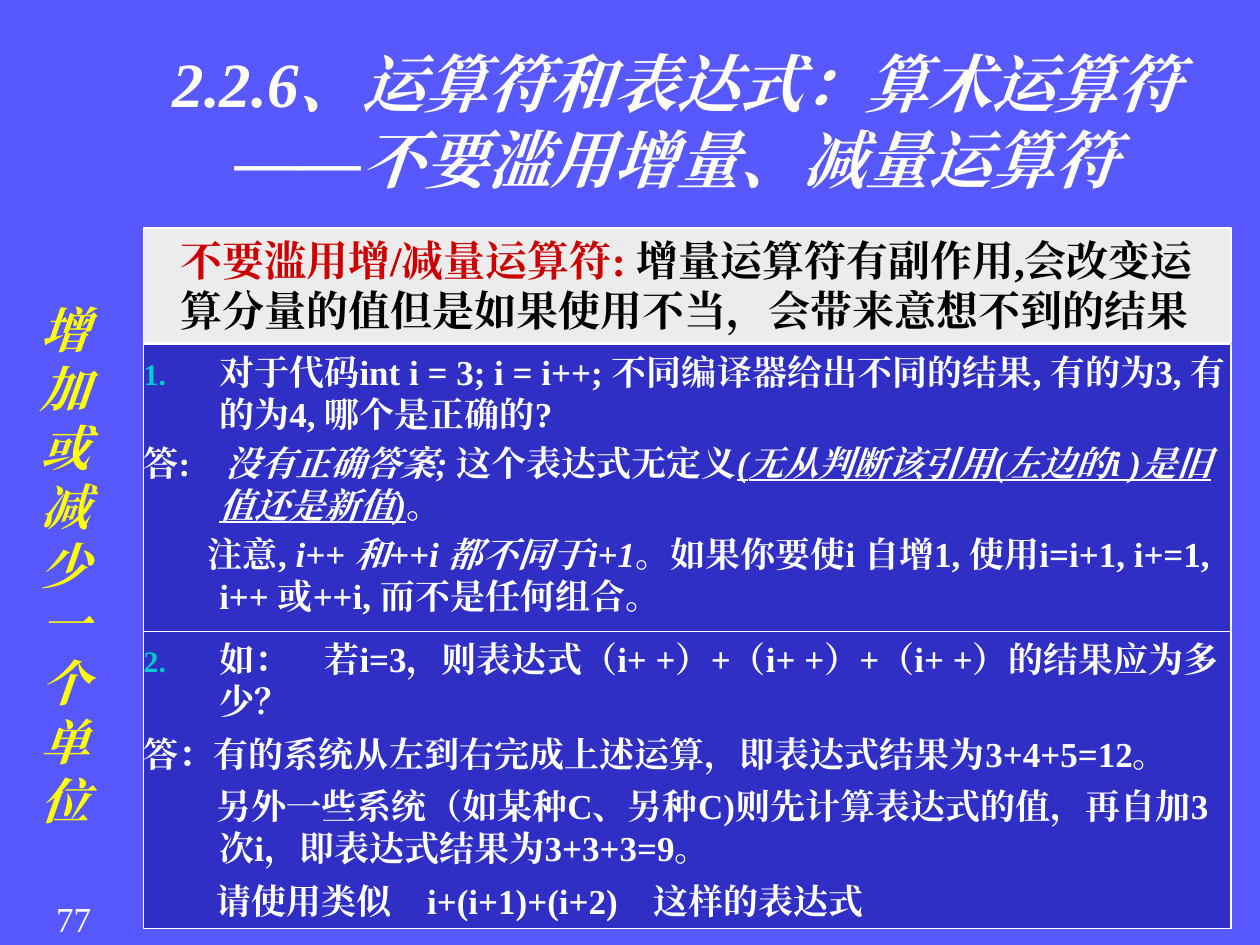
from dataclasses import dataclass, field
from lxml import etree
from pptx import Presentation, util as u
from pptx.dml.color import RGBColor
from pptx.enum import shapes, text
from pptx.oxml.ns import qn


@dataclass(frozen=True)
class Theme:
    face: str = "Times New Roman"
    back: str = "5858FF"
    panel: str = "2F2FC5"
    pale: str = "ECECEC"
    white: str = "FFFFFF"
    black: str = "000000"
    red: str = "CC0000"
    mark: str = "00CCCC"
    gold: str = "FFFF00"
    title: int = 36
    side: int = 28
    head: int = 24
    body: int = 20


@dataclass(frozen=True)
class Run:
    words: str
    color: str = ""
    style: dict = field(default_factory=dict)


@dataclass(frozen=True)
class Para:
    runs: list[Run]
    left: float = 0.6
    first: float = -0.6
    number: int = 0


@dataclass(frozen=True)
class Look:
    size: int
    color: str
    bold: bool = True
    italic: bool = False
    before: float = 0
    align: text.PP_ALIGN = text.PP_ALIGN.LEFT


THEME = Theme()
SLANT = {"italic": True}
LINED = {"italic": True, "underline": True}
LEFT, WIDE = 1.14, 8.63


def rgb(code: str) -> RGBColor:
    return RGBColor.from_string(code)


def place(shape, left: float, top: float, width: float, height: float) -> None:
    box = {"left": left, "top": top, "width": width, "height": height}
    for name, value in box.items():
        setattr(shape, name, u.Inches(value))


def paint(shape, color: str) -> None:
    shape.fill.solid()
    shape.fill.fore_color.rgb = rgb(color)
    shape.line.color.rgb = rgb(THEME.white)
    shape.line.width = u.Pt(0.75)


def bullet(props, number: int) -> None:
    if not number:
        etree.SubElement(props, qn("a:buNone"))
        return
    tint = etree.SubElement(props, qn("a:buClr"))
    etree.SubElement(tint, qn("a:srgbClr"), val=THEME.mark)
    etree.SubElement(props, qn("a:buSzPct"), val="85000")
    etree.SubElement(props, qn("a:buFont"), typeface="Noto Sans CJK SC")
    etree.SubElement(props, qn("a:buAutoNum"), type="arabicPeriod", startAt=str(number))


def write(shape, paras: list[Para], look: Look, anchor=text.MSO_ANCHOR.TOP, side: float = 0) -> None:
    frame = shape.text_frame
    setup = {
        "word_wrap": True,
        "auto_size": text.MSO_AUTO_SIZE.NONE,
        "vertical_anchor": anchor,
        "margin_left": u.Inches(side),
        "margin_right": u.Inches(side),
        "margin_top": u.Inches(0.05),
        "margin_bottom": u.Inches(0.05),
    }
    for name, value in setup.items():
        setattr(frame, name, value)
    for spot, para in enumerate(paras):
        line = frame.add_paragraph() if spot else frame.paragraphs[0]
        line.alignment = look.align
        line.space_before = u.Pt(look.before if spot else 0)
        props = line._p.get_or_add_pPr()
        props.set("marL", str(u.Inches(para.left)))
        props.set("indent", str(u.Inches(para.first)))
        bullet(props, para.number)
        for part in para.runs:
            if part.words == "\n":
                line.add_line_break()
                continue
            run = line.add_run()
            run.text = part.words
            base = {"name": THEME.face, "size": u.Pt(look.size),
                    "bold": look.bold, "italic": look.italic}
            for name, value in (base | part.style).items():
                setattr(run.font, name, value)
            run.font.color.rgb = rgb(part.color or look.color)
            latin = run._r.rPr.find(qn("a:latin"))
            latin.addnext(etree.Element(qn("a:ea"), typeface=THEME.face))


def main() -> None:
    deck = Presentation()
    deck.slide_width, deck.slide_height = u.Inches(10), u.Inches(7.5)
    slide = deck.slides.add_slide(deck.slide_layouts[3])
    slide.background.fill.solid()
    slide.background.fill.fore_color.rgb = rgb(THEME.back)
    title, ask, sample = list(slide.placeholders)[:3]

    place(title, 0.98, 0.33, 8.78, 1.25)
    write(title, [Para([
        Run("2.2.6、运算符和表达式：算术运算符"), Run("\n"),
        Run("——不要滥用增量、减量运算符"),
    ], 0, 0)], Look(THEME.title, THEME.white, italic=True, align=text.PP_ALIGN.CENTER),
        text.MSO_ANCHOR.MIDDLE, 0.1)

    head = slide.shapes.add_shape(shapes.MSO_SHAPE.RECTANGLE, 0, 0, 0, 0)
    head.shadow.inherit = False
    place(head, LEFT, 1.81, WIDE, 0.91)
    paint(head, THEME.pale)
    write(head, [Para([
        Run("不要滥用增/减量运算符: ", THEME.red),
        Run("增量运算符有副作用,会改变运算分量的值但是如果使用不当，会带来意想不到的结果"),
    ], 0.29, 0)], Look(THEME.head, THEME.black))

    place(ask, LEFT, 2.73, WIDE, 2.28)
    paint(ask, THEME.panel)
    write(ask, [
        Para([Run("对于代码int i = 3; i = i++; 不同编译器给出不同的结果, 有的为3, 有的为4, 哪个是正确的?")], number=1),
        Para([
            Run("答:　"), Run("没有正确答案; ", style=SLANT), Run("这个表达式无定义"),
            Run("(无从判断该引用(左边的i )是旧值还是新值)", style=LINED), Run("。"),
        ]),
        Para([
            Run("注意, "), Run("i++ 和++i 都不同于i+1", style=SLANT),
            Run("。如果你要使i 自增1, 使用i=i+1, i+=1, i++ 或++i, 而不是任何组合。"),
        ], first=-0.09),
    ], Look(THEME.body, THEME.white, before=4))

    place(sample, LEFT, 5.01, WIDE, 2.36)
    paint(sample, THEME.panel)
    write(sample, [
        Para([Run("如：　若i=3，则表达式（i+ +）+（i+ +）+（i+ +）的结果应为多少？")], number=2),
        Para([Run("答：有的系统从左到右完成上述运算，即表达式结果为3+4+5=12。")]),
        Para([Run("另外一些系统（如某种C、另种C)则先计算表达式的值，再自加3次i，即表达式结果为3+3+3=9。")], first=-0.02),
        Para([Run("请使用类似　i+(i+1)+(i+2)　这样的表达式")], first=-0.02),
    ], Look(THEME.body, THEME.white, before=6))

    side = slide.shapes.add_textbox(0, 0, 0, 0)
    place(side, 0.12, 2.33, 0.55, 4.3)
    write(side, [Para([Run("增加或减少一个单位")], 0.2, 0)],
          Look(THEME.side, THEME.gold, italic=True))

    page = slide.shapes.add_textbox(0, 0, 0, 0)
    place(page, 0.17, 7.07, 0.83, 0.43)
    write(page, [Para([Run("77")], 0, 0)],
          Look(THEME.body, THEME.white, bold=False, align=text.PP_ALIGN.CENTER), side=0.1)

    for extra in list(slide.placeholders)[3:]:
        extra.element.getparent().remove(extra.element)
    deck.save("out.pptx")


if __name__ == "__main__":
    main()
